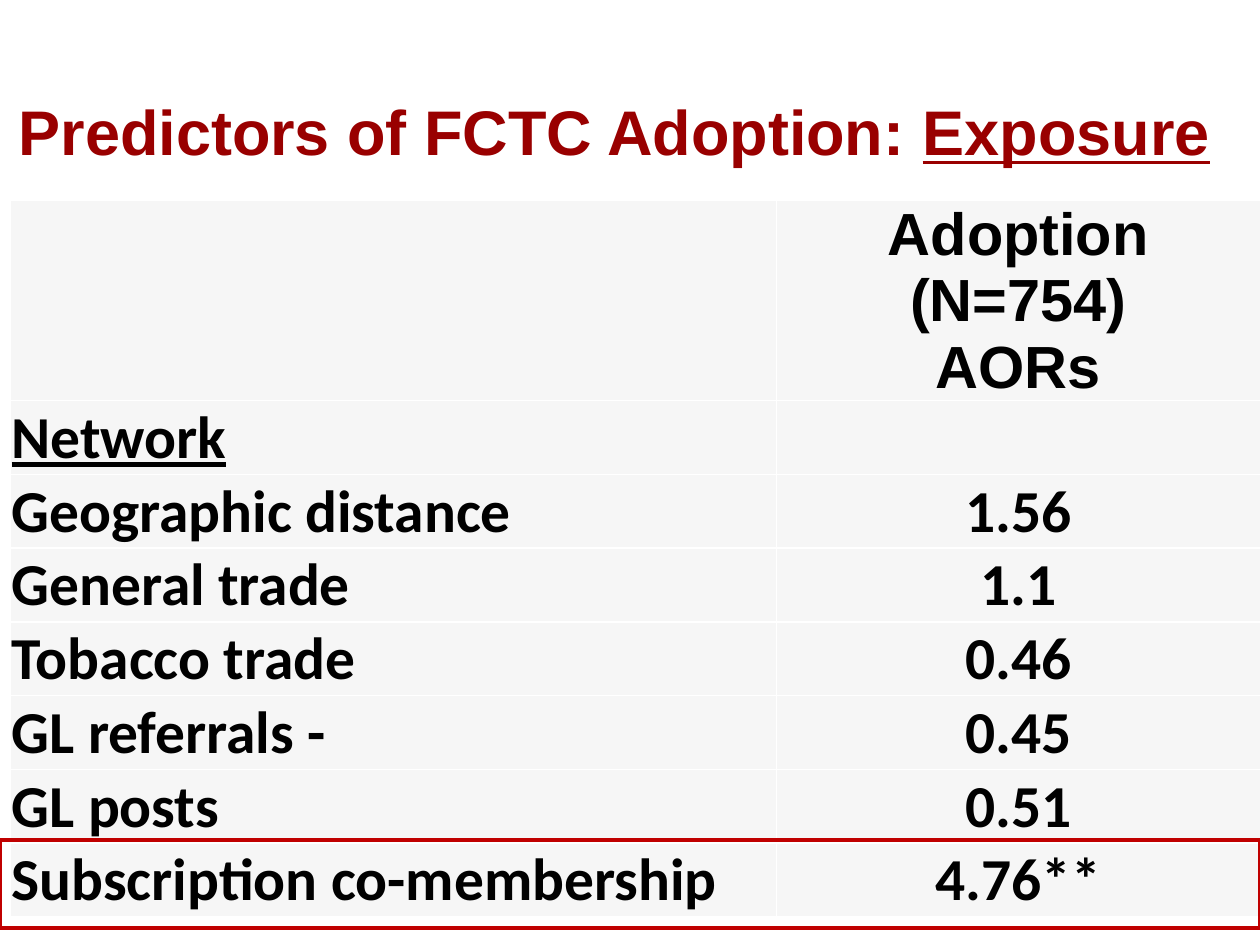
from lxml.etree import SubElement
from pptx import Presentation
from pptx.dml.color import RGBColor
from pptx.enum.shapes import MSO_SHAPE as Shape
from pptx.enum.text import MSO_ANCHOR as Anchor, PP_ALIGN as Align
from pptx.oxml.ns import qn
from pptx.util import Pt

TITLE_RED = RGBColor(0x99, 0x00, 0x00)
FRAME_RED = RGBColor(0xC0, 0x00, 0x00)
CELL_GRAY = RGBColor(0xF6, 0xF6, 0xF6)
BLACK = RGBColor(0, 0, 0)
WHITE = RGBColor(0xFF, 0xFF, 0xFF)

ROWS = [
    ("", "Adoption\n(N=754)\nAORs"),
    ("Network", ""),
    ("Geographic distance", "1.56"),
    ("General trade", "1.1"),
    ("Tobacco trade", "0.46"),
    ("GL referrals -", "0.45"),
    ("GL posts", "0.51"),
    ("Subscription co-membership", "4.76**"),
]
COLUMN_WIDTHS = [437.6, 276.6]
HEADER_HEIGHT, ROW_HEIGHT = 114.2, 42.1


def add_borders(cell, color, width):
    properties = cell._tc.get_or_add_tcPr()
    for position, side in enumerate(("a:lnL", "a:lnR", "a:lnT", "a:lnB")):
        line = properties.makeelement(qn(side), {"w": str(width)})
        properties.insert(position, line)
        fill = SubElement(line, qn("a:solidFill"))
        SubElement(fill, qn("a:srgbClr"), val=str(color))


deck = Presentation()
deck.slide_width, deck.slide_height = Pt(720), Pt(540)
page = deck.slides.add_slide(deck.slide_layouts[5])

# Title
title = page.shapes.title
title.left, title.top, title.width, title.height = Pt(0), Pt(41), Pt(702), Pt(67)
title.text_frame.vertical_anchor = Anchor.MIDDLE
para = title.text_frame.paragraphs[0]
para.alignment = Align.CENTER
para.add_run().text = "Predictors of FCTC Adoption: "
span = para.add_run()
span.text = "Exposure"
span.font.underline = True
para.font.name, para.font.size, para.font.bold = "Arial", Pt(36), True
para.font.color.rgb = TITLE_RED

# Table of adjusted odds ratios
table_height = HEADER_HEIGHT + ROW_HEIGHT * (len(ROWS) - 1)
table = page.shapes.add_table(len(ROWS), 2, Pt(6), Pt(114.5),
                              Pt(sum(COLUMN_WIDTHS)), Pt(table_height)).table
for column, width in zip(table.columns, COLUMN_WIDTHS):
    column.width = Pt(width)
for row_index, texts in enumerate(ROWS):
    is_header = row_index == 0
    table.rows[row_index].height = Pt(HEADER_HEIGHT if is_header else ROW_HEIGHT)
    for column_index, text in enumerate(texts):
        cell = table.cell(row_index, column_index)
        cell.fill.solid()
        cell.fill.fore_color.rgb = CELL_GRAY
        add_borders(cell, WHITE, Pt(1))
        if not text:
            continue
        cell.vertical_anchor = Anchor.BOTTOM
        cell.margin_left = cell.margin_right = cell.margin_top = Pt(0.7)
        cell.margin_bottom = Pt(0)
        cell.text = text
        for para in cell.text_frame.paragraphs:
            para.alignment = Align.CENTER if column_index else Align.LEFT
            para.font.name = "Arial" if is_header else "Calibri"
            para.font.size, para.font.bold = Pt(34), True
            para.font.underline = text == "Network"
            para.font.color.rgb = BLACK

# Frame around the significant predictor
frame = page.shapes.add_shape(Shape.RECTANGLE, Pt(0), Pt(480), Pt(720), Pt(50.4))
frame.shadow.inherit = False
frame.fill.background()
frame.line.color.rgb = FRAME_RED
frame.line.width = Pt(2)

deck.save("out.pptx")
